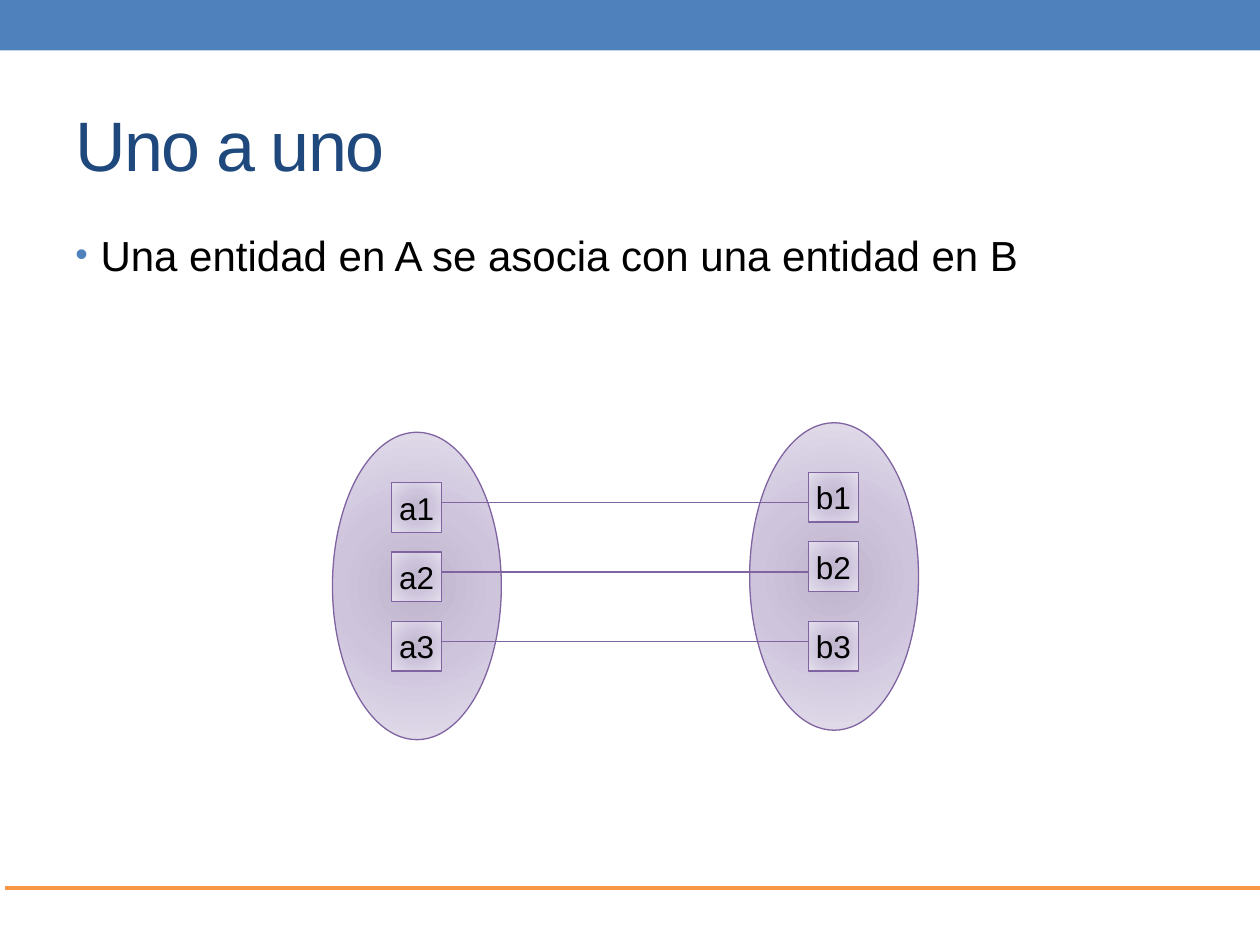
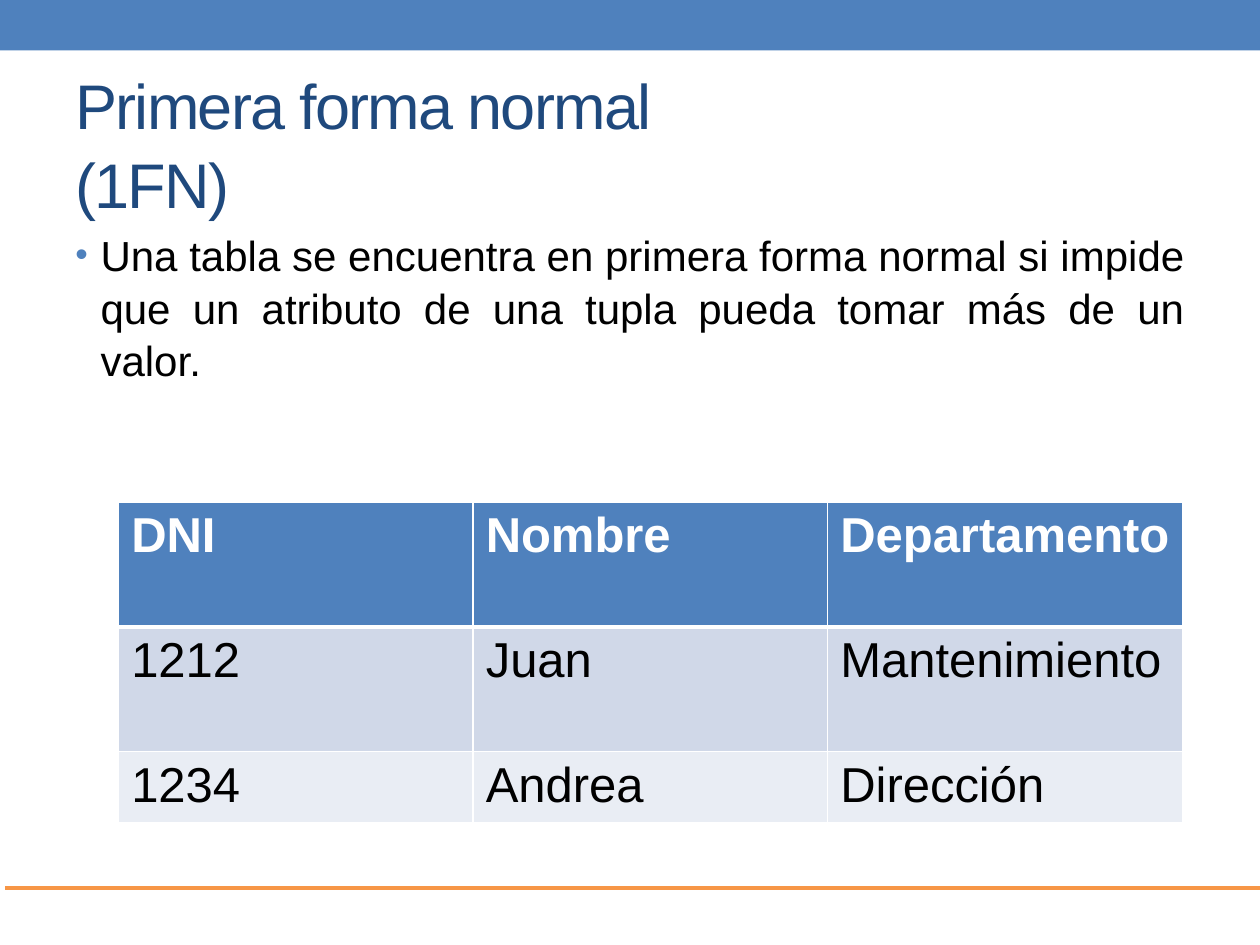
from lxml.etree import SubElement
from pptx import Presentation
from pptx.dml.color import RGBColor
from pptx.enum.shapes import MSO_CONNECTOR, MSO_SHAPE
from pptx.enum.text import MSO_ANCHOR, PP_ALIGN
from pptx.oxml import parse_xml
from pptx.oxml.ns import nsdecls, qn
from pptx.util import Pt

FONT = "Arial"
BLUE, NAVY, ORANGE, PURPLE = "4F81BD", "1F497D", "F79646", "8064A2"
BLACK, WHITE = "000000", "FFFFFF"
ROW_FILLS = (BLUE, "D0D8E8", "E9EDF4")
LILAC_STOPS = ((0, "BFB6CD"), (45, "CEC5DD"), (100, "E4DFEC"))


def rgb(color):
    """Turn a hex string into a colour."""
    return RGBColor.from_string(color)


class Deck:
    """Hold the shared style and the slide being built."""

    def __init__(self):
        """Open an empty presentation of 10 by 7.5 inches."""
        self.presentation = Presentation()
        self.presentation.slide_width = Pt(720)
        self.presentation.slide_height = Pt(540)

    def start_slide(self, title, title_size):
        """Add a slide with its top band, bottom rule and title."""
        layout = self.presentation.slide_layouts[6]
        self.shapes = self.presentation.slides.add_slide(layout).shapes
        band = self.shape(MSO_SHAPE.RECTANGLE, 0, 0, 720, 28.8)
        band.fill.solid()
        band.fill.fore_color.rgb = rgb(BLUE)
        band.line.fill.background()
        self.line(3, 723, 507.6, ORANGE, 2.25)
        heading = self.text_box(title, 42, 78, title_size, NAVY)
        heading.vertical_anchor = MSO_ANCHOR.MIDDLE
        for run in heading.paragraphs[0].runs:
            run._r.get_or_add_rPr().set("spc", "-100")

    def shape(self, kind, left, top, width, height):
        """Add a preset shape without shadow."""
        shape = self.shapes.add_shape(kind, Pt(left), Pt(top), Pt(width), Pt(height))
        shape.shadow.inherit = False
        return shape

    def set_text(self, paragraph, text, size, color=BLACK, bold=False):
        """Fill a paragraph with text in the deck font."""
        paragraph.text = text
        font = paragraph.font
        font.name, font.size, font.bold = FONT, Pt(size), bold
        font.color.rgb = rgb(color)

    def text_box(self, text, top, height, size, color=BLACK):
        """Add a full-width text box and return its text frame."""
        frame = self.shapes.add_textbox(Pt(36), Pt(top), Pt(648), Pt(height)).text_frame
        frame.word_wrap = True
        self.set_text(frame.paragraphs[0], text, size, color)
        frame.paragraphs[0].line_spacing = 1.05
        return frame

    def bullet(self, text, alignment=PP_ALIGN.LEFT):
        """Add the bulleted body statement."""
        paragraph = self.text_box(text, 126, 383.8, 24).paragraphs[0]
        paragraph.alignment = alignment
        paragraph.space_before = Pt(4.8)
        properties = paragraph._p.get_or_add_pPr()
        properties.set("marL", str(Pt(14.4)))
        properties.set("indent", str(Pt(-14.4)))
        defaults = properties.find(qn("a:defRPr"))
        for mark in (
            f'<a:buClr {nsdecls("a")}><a:srgbClr val="{BLUE}"/></a:buClr>',
            f'<a:buSzPct {nsdecls("a")} val="85000"/>',
            f'<a:buFont {nsdecls("a")} typeface="{FONT}"/>',
            f'<a:buChar {nsdecls("a")} char="•"/>',
        ):
            defaults.addprevious(parse_xml(mark))

    def lilac(self, kind, left, top, width, height, label=None):
        """Add an outlined shape with the radial lilac fill."""
        shape = self.shape(kind, left, top, width, height)
        shape.line.color.rgb = rgb(PURPLE)
        shape.line.width = Pt(0.75)
        stops = "".join(
            f'<a:gs pos="{position * 1000}"><a:srgbClr val="{color}"/></a:gs>'
            for position, color in LILAC_STOPS
        )
        sides = " ".join(f'{side}="100000"' for side in "ltrb")
        gradient = parse_xml(
            f'<a:gradFill {nsdecls("a")} rotWithShape="1"><a:gsLst>{stops}</a:gsLst>'
            f'<a:path path="circle"><a:fillToRect {sides}/></a:path></a:gradFill>'
        )
        shape._element.spPr.find(qn("a:prstGeom")).addnext(gradient)
        if label:
            frame = shape.text_frame
            frame.word_wrap = False
            frame.vertical_anchor = MSO_ANCHOR.MIDDLE
            self.set_text(frame.paragraphs[0], label, 18)
            frame.paragraphs[0].alignment = PP_ALIGN.CENTER

    def line(self, start, end, y, color, width):
        """Add a horizontal line without shadow."""
        line = self.shapes.add_connector(
            MSO_CONNECTOR.STRAIGHT, Pt(start), Pt(y), Pt(end), Pt(y)
        )
        line.line.color.rgb = rgb(color)
        line.line.width = Pt(width)
        SubElement(line._element.spPr, qn("a:effectLst"))

    def borders(self, cell, **widths):
        """Draw white borders of the given widths around a cell."""
        properties = cell._tc.get_or_add_tcPr()
        for position, side in enumerate("LRTB"):
            border = parse_xml(
                f'<a:ln{side} {nsdecls("a")} w="{Pt(widths.get(side, 1))}"><a:solidFill>'
                f'<a:srgbClr val="{WHITE}"/></a:solidFill></a:ln{side}>'
            )
            properties.insert(position, border)

    def table(self, rows, left, top, column_width, row_heights):
        """Add a table with a blue header and tinted rows."""
        columns = len(rows[0])
        table = self.shapes.add_table(
            len(rows), columns, Pt(left), Pt(top),
            Pt(column_width * columns), Pt(sum(row_heights)),
        ).table
        for column in table.columns:
            column.width = Pt(column_width)
        for index, (values, height) in enumerate(zip(rows, row_heights)):
            table.rows[index].height = Pt(height)
            header = index == 0
            heavy = {0: {"B": 3}, 1: {"T": 3}}.get(index, {})
            for cell, value in zip(table.rows[index].cells, values):
                cell.fill.solid()
                cell.fill.fore_color.rgb = rgb(ROW_FILLS[index])
                self.borders(cell, **heavy)
                color = WHITE if header else BLACK
                self.set_text(cell.text_frame.paragraphs[0], value, 28, color, header)


def build_one_to_one(deck):
    """Show the one-to-one mapping between sets A and B."""
    deck.start_slide("Uno a uno", 40)
    deck.bullet("Una entidad en A se asocia con una entidad en B")
    for left, top in ((190, 247), (428.4, 241.6)):
        deck.lilac(MSO_SHAPE.OVAL, left, top, 96.5, 175.7)
    box = 28.35
    a_left, b_left = 223.9, 462.1
    a_tops = [275.8 + 39.7 * row for row in range(3)]
    b_tops = (270, 309.6, 355.2)
    for name, left, tops in (("a", a_left, a_tops), ("b", b_left, b_tops)):
        for number, top in enumerate(tops, 1):
            deck.lilac(MSO_SHAPE.RECTANGLE, left, top, box, box, f"{name}{number}")
    for top in a_tops:
        deck.line(a_left + box, b_left, top + 11.3, PURPLE, 0.75)


def build_first_normal_form(deck):
    """Define the first normal form with a sample table."""
    deck.start_slide("Primera forma normal \v(1FN)", 36)
    deck.bullet(
        "Una tabla se encuentra en primera forma normal si impide que un atributo "
        "de una tupla pueda tomar más de un valor.",
        PP_ALIGN.JUSTIFY,
    )
    employees = (
        ("DNI", "Nombre", "Departamento"),
        ("1212", "Juan", "Mantenimiento"),
        ("1234", "Andrea", "Dirección"),
    )
    deck.table(employees, 67.8, 286.9, 202.6, (71.3, 71.3, 39.6))


def main():
    """Build and save the slides."""
    deck = Deck()
    build_one_to_one(deck)
    build_first_normal_form(deck)
    deck.presentation.save("out.pptx")


if __name__ == "__main__":
    main()
